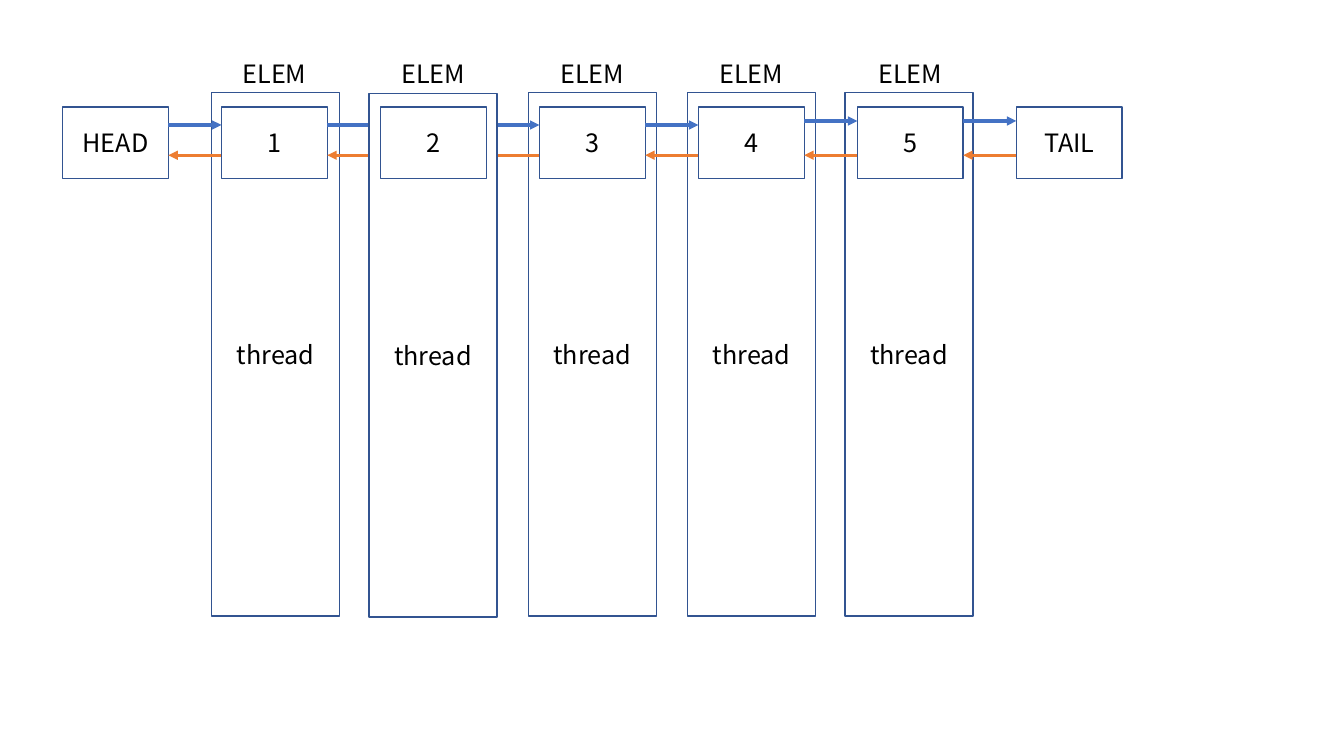
"""Draw a doubly linked list whose elements each own a thread."""
from dataclasses import dataclass

from lxml import etree
from pptx import Presentation
from pptx import util as u
from pptx.dml.color import RGBColor
from pptx.enum import shapes, text
from pptx.oxml.ns import qn


@dataclass(frozen=True)
class Theme:
    font: str = "Noto Sans CJK KR"
    size: float = 18
    ink: str = "000000"
    fill: str = "FFFFFF"
    border: str = "325491"
    border_width: float = 1
    forward: str = "4472C4"
    backward: str = "ED7D31"
    arrow_width: float = 2.25


class Diagram:
    def __init__(self, slide, theme):
        self.s = slide
        self.theme = theme

    def add_words(self, tf, words):
        p = tf.paragraphs[0]
        p.alignment = text.PP_ALIGN.CENTER
        r = p.add_run()
        r.text = words
        r.font.name = self.theme.font
        r.font.size = u.Pt(self.theme.size)
        r.font.color.rgb = RGBColor.from_string(self.theme.ink)

    def box(self, left, top, width, height, words):
        sp = self.s.shapes.add_shape(shapes.MSO_SHAPE.RECTANGLE,
                                     *map(u.Inches, (left, top, width, height)))
        sp.shadow.inherit = False
        sp.fill.solid()
        sp.fill.fore_color.rgb = RGBColor.from_string(self.theme.fill)
        sp.line.color.rgb = RGBColor.from_string(self.theme.border)
        sp.line.width = u.Pt(self.theme.border_width)
        sp.text_frame.vertical_anchor = text.MSO_ANCHOR.MIDDLE
        self.add_words(sp.text_frame, words)

    def label(self, left, top, width, height, words):
        sp = self.s.shapes.add_textbox(*map(u.Inches, (left, top, width, height)))
        tf = sp.text_frame
        tf.word_wrap = True
        tf.auto_size = text.MSO_AUTO_SIZE.SHAPE_TO_FIT_TEXT
        self.add_words(tf, words)

    def arrow(self, start, end, y, color):
        sp = self.s.shapes.add_connector(shapes.MSO_CONNECTOR.STRAIGHT,
                                         *map(u.Inches, (start, y, end, y)))
        sp.line.color.rgb = RGBColor.from_string(color)
        sp.line.width = u.Pt(self.theme.arrow_width)
        props = sp._element.spPr
        etree.SubElement(props.find(qn("a:ln")), qn("a:tailEnd"), type="triangle")
        etree.SubElement(props, qn("a:effectLst"))


NODES = ["HEAD", "1", "2", "3", "4", "5", "TAIL"]
FIRST, LAST = 0.62, 10.08
PITCH = (LAST - FIRST) / (len(NODES) - 1)
NODE_TOP, NODE_W, NODE_H = 1.06, 1.05, 0.71
THREAD_LEFTS = {1: 2.1, 2: 3.66, 3: 5.24, 4: 6.82, 5: 8.38}
THREAD_TOP, THREAD_W, THREAD_H = 0.92, 1.27, 5.19
LABEL_TOP, LABEL_H = 0.53, 0.4
FORWARD_YS = [1.24, 1.24, 1.24, 1.2, 1.2]
BACKWARD_Y = 1.54
INSERTED = 2

prs = Presentation()
prs.slide_width, prs.slide_height = u.Inches(13.33), u.Inches(7.5)
theme = Theme()
diagram = Diagram(prs.slides.add_slide(prs.slide_layouts[6]), theme)


def node_left(i):
    return FIRST + i * PITCH


def draw_thread(i, top=THREAD_TOP):
    diagram.box(THREAD_LEFTS[i], top, THREAD_W, THREAD_H, "thread")


def draw_node(i):
    diagram.box(node_left(i), NODE_TOP, NODE_W, NODE_H, NODES[i])


linked = [i for i in range(len(NODES)) if i != INSERTED]
for i in linked[1:-1]:
    draw_thread(i)
for i in linked:
    draw_node(i)

for before, after, y in zip(linked, linked[1:], FORWARD_YS):
    right_edge, left_edge = node_left(before) + NODE_W, node_left(after)
    diagram.arrow(right_edge, left_edge, y, theme.forward)
    diagram.arrow(left_edge, right_edge, BACKWARD_Y, theme.backward)

for i in THREAD_LEFTS:
    diagram.label(node_left(i), LABEL_TOP, NODE_W, LABEL_H, "ELEM")

draw_thread(INSERTED, top=0.93)
draw_node(INSERTED)

prs.save("out.pptx")
